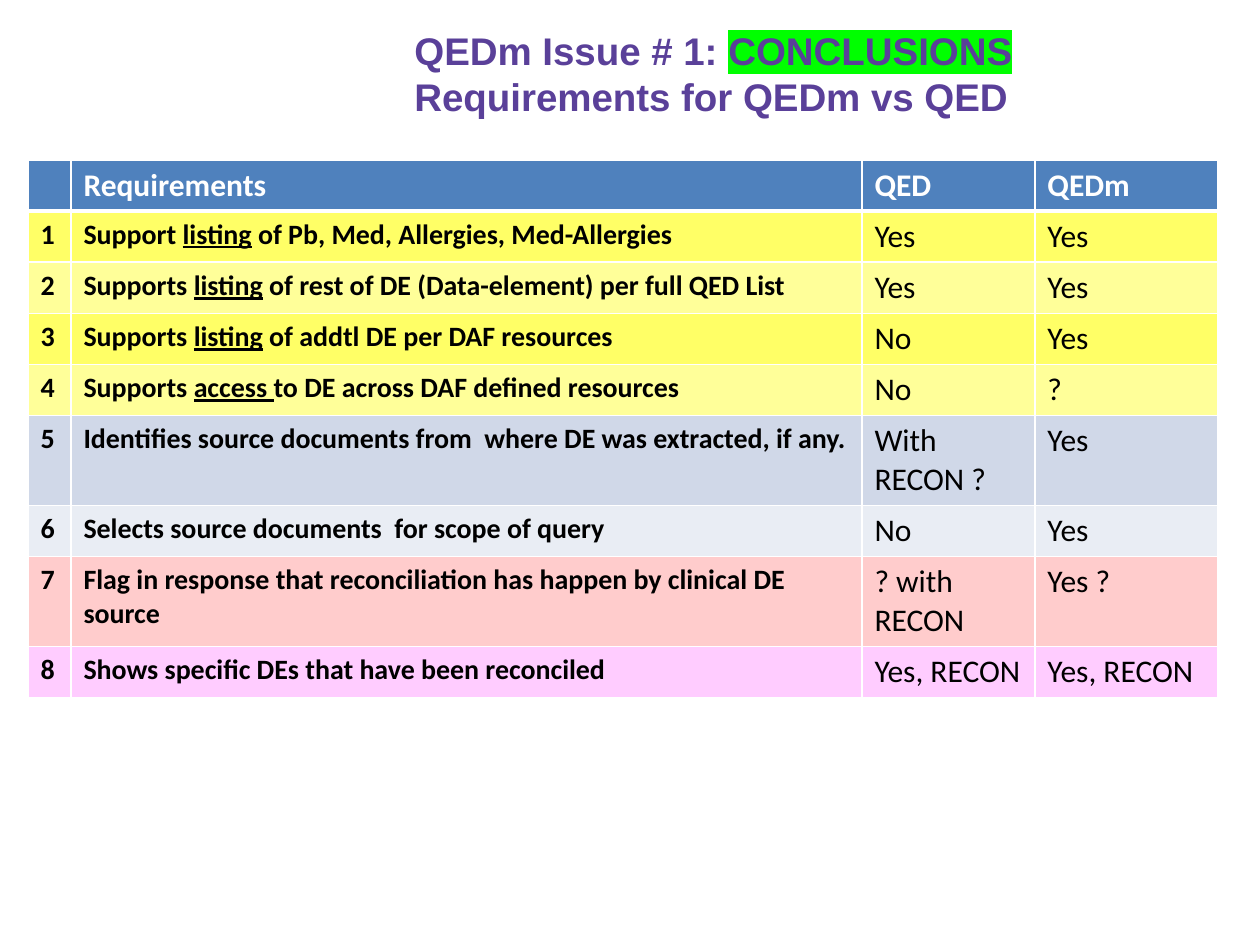
from dataclasses import dataclass

from lxml.etree import SubElement
from pptx import Presentation
from pptx.dml.color import RGBColor
from pptx.enum.text import MSO_ANCHOR as Anchor
from pptx.oxml import parse_xml
from pptx.oxml.ns import nsdecls, qn
from pptx.util import Emu, Pt

PX_PER_INCH = 126
BLACK, WHITE, PURPLE = "000000", "FFFFFF", "5A4099"
HEADER_BLUE, GREEN = "4F81BD", "00FF00"


@dataclass
class Row:
    cells: tuple[str, str, str, str]
    fill: str
    height: int = 51


COLUMN_WIDTHS = (43, 791, 173, 183)
HEADER = Row(("", "Requirements", "QED", "QEDm"), HEADER_BLUE)
REQUIREMENTS = [
    Row(("1", "Support _listing_ of Pb, Med, Allergies, Med-Allergies", "Yes", "Yes"), "FFFF66"),
    Row(("2", "Supports _listing_ of rest of DE (Data-element) per full QED List", "Yes", "Yes"), "FFFF99"),
    Row(("3", "Supports _listing_ of addtl DE per DAF resources", "No", "Yes"), "FFFF66"),
    Row(("4", "Supports _access _to DE across DAF defined resources", "No", "?"), "FFFF99"),
    Row(("5", "Identifies source documents from  where DE was extracted, if any.", "With RECON ?", "Yes"), "D0D8E8", 90),
    Row(("6", "Selects source documents  for scope of query", "No", "Yes"), "E9EDF4"),
    Row(("7", "Flag in response that reconciliation has happen by clinical DE source", "? with RECON", "Yes ?"), "FFCCCC", 90),
    Row(("8", "Shows specific DEs that have been reconciled", "Yes, RECON", "Yes, RECON"), "FFCCFF"),
]


def px(length: int) -> Emu:
    return Emu(round(length * 914400 / PX_PER_INCH))


def rgb(color: str) -> RGBColor:
    return RGBColor.from_string(color)


def style_span(span, font: str, size: int, color: str, bold: bool) -> None:
    span.font.name = font
    span.font.size = Pt(size)
    span.font.bold = bold
    span.font.color.rgb = rgb(color)


def add_span(para, text: str, font: str, size: int, color: str, bold: bool):
    span = para.add_run()
    span.text = text
    style_span(span, font, size, color, bold)
    return span


def highlight(span, color: str) -> None:
    mark = parse_xml(f'<a:highlight {nsdecls("a")}><a:srgbClr val="{color}"/></a:highlight>')
    span.font._element.find(qn("a:solidFill")).addnext(mark)


def set_borders(cell, bottom: int) -> None:
    properties = cell._tc.get_or_add_tcPr()
    for side, width in (("L", 1), ("R", 1), ("T", 1), ("B", bottom)):
        line = SubElement(properties, qn(f"a:ln{side}"), w=str(Pt(width)))
        fill = SubElement(line, qn("a:solidFill"))
        SubElement(fill, qn("a:srgbClr"), val=WHITE)


def draw_row(table, index: int, row: Row) -> None:
    is_header = index == 0
    table.rows[index].height = px(row.height)
    for column, text in enumerate(row.cells):
        cell = table.cell(index, column)
        set_borders(cell, 3 if is_header else 1)
        cell.fill.solid()
        cell.fill.fore_color.rgb = rgb(row.fill)
        if not text:
            continue
        is_label = column < 2
        size = 16 if is_label and not is_header else 18
        color = WHITE if is_header else BLACK
        para = cell.text_frame.paragraphs[0]
        for part, piece in enumerate(text.split("_")):
            span = add_span(para, piece, "Calibri", size, color, is_header or is_label)
            if part % 2:
                span.font.underline = True


def draw_table(slide) -> None:
    rows = [HEADER, *REQUIREMENTS]
    frame = slide.shapes.add_table(
        len(rows), len(COLUMN_WIDTHS), px(28), px(160),
        px(sum(COLUMN_WIDTHS)), px(sum(row.height for row in rows)),
    )
    table = frame.table
    table.horz_banding = False
    for column, width in zip(table.columns, COLUMN_WIDTHS):
        column.width = px(width)
    for index, row in enumerate(rows):
        draw_row(table, index, row)


def draw_title(slide) -> None:
    box = slide.shapes.add_textbox(px(402), px(23), px(835), px(100))
    frame = box.text_frame
    frame.word_wrap = True
    frame.vertical_anchor = Anchor.MIDDLE
    para = frame.paragraphs[0]
    title_style = ("Arial", 22, PURPLE, True)
    add_span(para, "QEDm Issue # 1: ", *title_style)
    highlight(add_span(para, "CONCLUSIONS", *title_style), GREEN)
    para.add_line_break()
    add_span(para, "Requirements for QEDm vs QED", *title_style)


def main() -> None:
    deck = Presentation()
    deck.slide_width, deck.slide_height = px(1260), px(945)
    slide = deck.slides.add_slide(deck.slide_layouts[6])
    draw_table(slide)
    draw_title(slide)
    deck.save("out.pptx")


if __name__ == "__main__":
    main()
